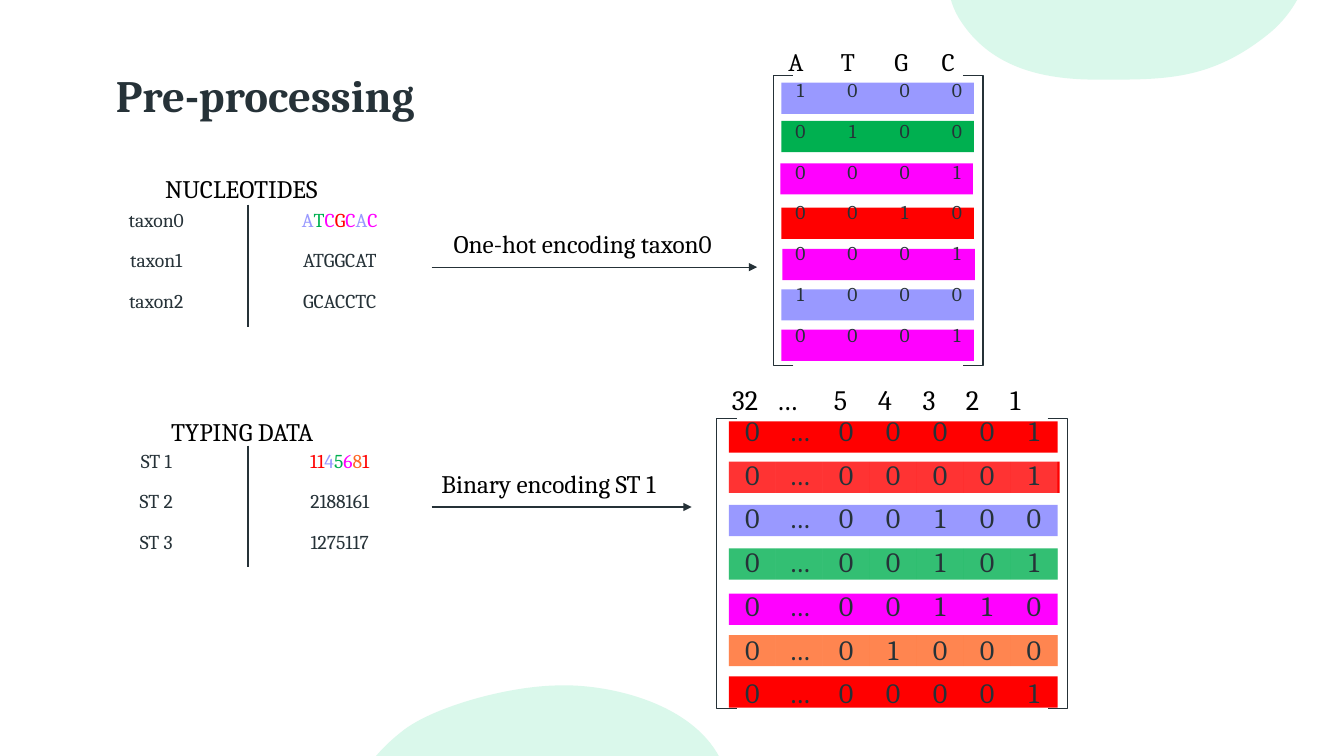
import math

import pptx
import pptx.util
import pptx.dml.color
import pptx.oxml
import pptx.oxml.ns
from pptx.enum.shapes import MSO_CONNECTOR, MSO_SHAPE
from pptx.enum.text import MSO_ANCHOR, MSO_AUTO_SIZE, PP_ALIGN

SCALE = 9144  # EMU per px, 100 px to the inch
FONT = "Cambria"
INK, LINE, BLACK, WHITE, MINT = "263238", "253137", "000000", "FFFFFF", "87E8BD"
LILAC, GREEN, RED, PINK, ORANGE = "9999FF", "00B050", "FF0000", "FF01FF", "FF6725"
NO_GRID = "{2D5ABB26-0587-4C30-8999-92F81FD0307C}"

TOP_BLOB = [
    (1283, -164), (1283, -164), (1259, -209), (1206, -212),
    (1154, -215), (1135, -161), (1097, -140), (1077, -129), (1036, -148), (1015, -141),
    (946, -121), (922, -30), (951, 18), (977, 60), (1021, 79), (1087, 79),
    (1153, 79), (1200, 81), (1259, 33), (1317, -15), (1312, -104), (1283, -164)]
BOTTOM_BLOB = [
    (347, 831), (357, 908), (412, 938), (450, 930), (503, 919), (520, 847), (554, 838),
    (581, 831), (616, 887), (657, 880), (708, 872), (743, 809), (714, 752),
    (685, 696), (601, 678), (552, 680), (504, 681), (434, 700), (402, 723),
    (366, 750), (341, 786), (347, 831)]

NUCLEOTIDES = [
    ["taxon0", [("A", LILAC), ("T", GREEN), ("C", PINK), ("G", RED),
                ("C", PINK), ("A", LILAC), ("C", PINK)]],
    ["taxon1", "ATGGCAT"],
    ["taxon2", "GCACCTC"]]
TYPING = [
    ["ST 1", [("11", RED), ("4", LILAC), ("5", GREEN), ("6", PINK),
              ("8", ORANGE), ("1", RED)]],
    ["ST 2", "2188161"],
    ["ST 3", "1275117"]]
ONE_HOT = ["1000", "0100", "0001", "0010", "0001", "1000", "0001"]
BINARY = ["0…00001", "0…00001", "0…00100", "0…00101", "0…00110", "0…01000", "0…00001"]

# left, top, width, colour
ONE_HOT_BARS = [
    (775, 82, 191, LILAC), (775, 287, 191, LILAC), (775, 120, 191, GREEN),
    (775, 206, 191, RED), (774, 162, 191, PINK), (776, 247, 191, PINK),
    (775, 327, 191, PINK)]
BINARY_BARS = [
    (723, 501, 326, LILAC), (723, 544, 326, GREEN), (723, 458, 328, RED),
    (723, 589, 326, PINK), (723, 418, 326, RED), (723, 671, 326, RED),
    (723, 630, 326, ORANGE)]


def px(*lengths):
    return [n * SCALE for n in lengths]


def color(value):
    return pptx.dml.color.RGBColor.from_string(value)


def sub(parent, tag, **attrs):
    """Append a DrawingML element."""
    el = pptx.oxml.parse_xml(f"<a:{tag} {pptx.oxml.ns.nsdecls('a')}/>")
    for name, value in attrs.items():
        el.set(name, str(value))
    parent.append(el)
    return el


def paint(fill, value, percent=100):
    fill.solid()
    fill.fore_color.rgb = color(value)
    if percent < 100:
        clr = fill._xPr.find(".//" + pptx.oxml.ns.qn("a:srgbClr"))
        sub(clr, "alpha", val=percent * 1000)


def style(r, size, value, bold=False):
    r.font.name, r.font.size, r.font.bold = FONT, pptx.util.Pt(size), bold
    r.font.color.rgb = color(value)


def blob(s, box, points, angle=0):
    """Draw a closed chain of cubic curves, given as seen after turning by angle."""
    left, top, width, height = box
    builder = s.shapes.build_freeform(*px(left, top), scale=1.0)
    builder.add_line_segments([px(left + width, top), px(left + width, top + height),
                               px(left, top + height)], close=True)
    sp = builder.convert_to_shape()
    sp.shadow.inherit = False
    sp.line.fill.background()
    paint(sp.fill, MINT, 30)
    sp.rotation = angle

    cos, sin = math.cos(math.radians(angle)), math.sin(math.radians(angle))

    def add_point(parent, point):
        dx, dy = point[0] - left - width / 2, point[1] - top - height / 2
        sub(parent, "pt", x=round(SCALE * (width / 2 + dx * cos + dy * sin)),
            y=round(SCALE * (height / 2 - dx * sin + dy * cos)))

    outline = sp._element.find(".//" + pptx.oxml.ns.qn("a:path"))
    for el in list(outline):
        outline.remove(el)
    add_point(sub(outline, "moveTo"), points[0])
    for i in range(1, len(points), 3):
        curve = sub(outline, "cubicBezTo")
        for point in points[i:i + 3]:
            add_point(curve, point)
    sub(outline, "close")


def bars(s, rows):
    for left, top, width, value in rows:
        sp = s.shapes.add_shape(MSO_SHAPE.RECTANGLE, *px(left, top, width, 31))
        sp.shadow.inherit = False
        sp.line.fill.background()
        paint(sp.fill, value)


def label(s, box, text, size=18, wrap=False):
    sp = s.shapes.add_textbox(*px(*box))
    tf = sp.text_frame
    tf.word_wrap = wrap
    tf.auto_size = MSO_AUTO_SIZE.SHAPE_TO_FIT_TEXT
    tf.text = text
    style(tf.paragraphs[0].runs[0], size, BLACK)
    return tf


def title(s, box, text):
    tf = label(s, box, text, 32, wrap=True)
    tf.auto_size = MSO_AUTO_SIZE.NONE
    tf.vertical_anchor = MSO_ANCHOR.BOTTOM
    tf.margin_top = tf.margin_bottom = px(10)[0]
    style(tf.paragraphs[0].runs[0], 32, INK, bold=True)


def column_heads(s, box, names, size, inset, stops):
    """Write column names on one line, spaced by tab stops."""
    tf = label(s, box, "\t".join(names), size, wrap=True)
    tf.margin_left = px(inset)[0]
    tabs = sub(tf.paragraphs[0]._p.get_or_add_pPr(), "tabLst")
    for stop in stops:
        sub(tabs, "tab", pos=stop * SCALE, algn="l")


def border(cell, side, value):
    ln = sub(cell._tc.get_or_add_tcPr(), "ln" + side, w=12700)
    sub(sub(ln, "solidFill"), "srgbClr", val=value)


def table(s, left, top, width, rows, size, borders=None, veiled=()):
    """Add a table; borders maps (row, column) to a list of (side, colour)."""
    frame = s.shapes.add_table(len(rows), len(rows[0]),
                               *px(left, top, width, 284 * len(rows) // 7))
    tbl = frame.table
    tbl.first_row = tbl.horz_banding = False
    tbl._tbl.tblPr.find(pptx.oxml.ns.qn("a:tableStyleId")).text = NO_GRID
    for i, row in enumerate(rows):
        for j, content in enumerate(row):
            cell = tbl.cell(i, j)
            for side, value in (borders or {}).get((i, j), []):
                border(cell, side, value)
            if i in veiled:
                paint(cell.fill, WHITE, 20)
            else:
                cell.fill.background()
            p = cell.text_frame.paragraphs[0]
            p.alignment = PP_ALIGN.CENTER
            for text, value in [(content, INK)] if isinstance(content, str) else content:
                r = p.add_run()
                r.text = text
                style(r, size, value)


def data_table(s, top, rows):
    borders = {}
    for i in range(len(rows)):
        borders[i, 0], borders[i, 1] = [("R", INK)], [("L", INK)]
    table(s, 64, top, 364, rows, 14, borders)


def brackets(s, left, right, top):
    for shape, x in ((MSO_SHAPE.LEFT_BRACKET, left), (MSO_SHAPE.RIGHT_BRACKET, right)):
        sp = s.shapes.add_shape(shape, *px(x, top, 20, 288))
        sp.adjustments[0] = 0
        sp.shadow.inherit = False
        sp.fill.background()
        sp.line.color.rgb = color(LINE)
        sp.line.width = pptx.util.Pt(0.75)


def arrow(s, x1, x2, y):
    line = s.shapes.add_connector(MSO_CONNECTOR.STRAIGHT, *px(x1, y, x2, y))
    line.line.color.rgb = color(LINE)
    line.line.width = pptx.util.Pt(0.75)
    sub(line.line._get_or_add_ln(), "tailEnd", type="triangle")
    sub(line._element.spPr, "effectLst")


def main():
    prs = pptx.Presentation()
    prs.slide_width, prs.slide_height = px(1333, 750)
    s = prs.slides.add_slide(prs.slide_layouts[6])
    blob(s, (939, -212, 365, 291), TOP_BLOB)
    blob(s, (345, 671, 371, 264), BOTTOM_BLOB, 151.8)
    bars(s, BINARY_BARS)
    title(s, (105, 47, 335, 84), "Pre-processing")

    data_table(s, 203, NUCLEOTIDES)
    label(s, (154, 167, 185, 40), "NUCLEOTIDES")
    label(s, (440, 222, 291, 40), "One-hot encoding taxon0")
    arrow(s, 428, 751, 265)
    bars(s, ONE_HOT_BARS)
    table(s, 768, 74, 207, ONE_HOT, 14)
    brackets(s, 767, 955, 75)
    column_heads(s, (766, 41, 207, 40), "ATGC", 18, 16, (52, 105, 152))

    white = {(i, j): [(side, WHITE) for side in sides]
             for i, sides in ((0, "TB"), (6, "B")) for j in range(7)}
    table(s, 723, 408, 326, BINARY, 20, white, veiled=(1, 3, 5))
    data_table(s, 442, TYPING)
    label(s, (160, 408, 173, 40), "TYPING DATA")
    brackets(s, 711, 1039, 415)
    column_heads(s, (711, 375, 357, 44), ["32", "…", "5", "4", "3", "2", "1"], 20, 15,
                 (44, 101, 145, 189, 232, 276))
    arrow(s, 428, 686, 503)
    label(s, (428, 460, 249, 40), "Binary encoding ST 1")
    prs.save("out.pptx")


if __name__ == "__main__":
    main()
